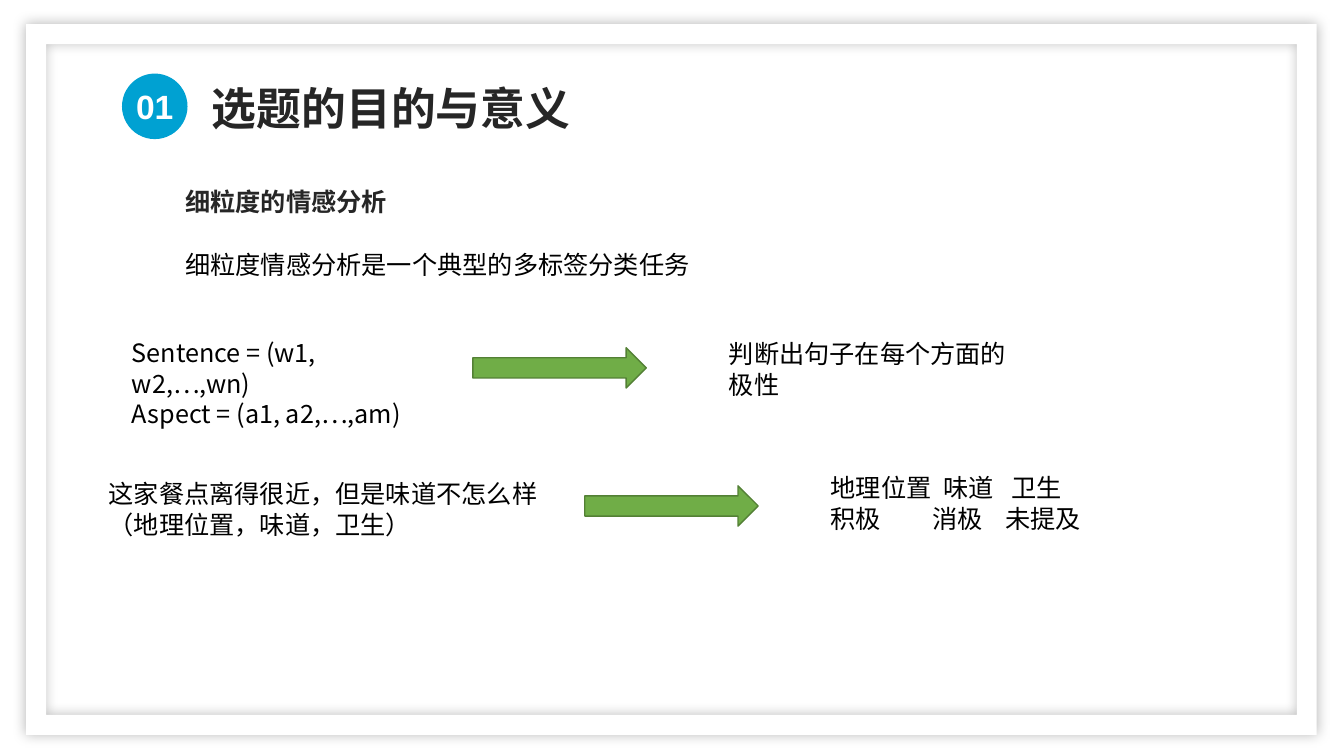
from lxml import etree
from pptx import Presentation
from pptx.dml.color import RGBColor
from pptx.enum import shapes, text
from pptx.oxml import ns
from pptx.util import Inches, Pt

CJK_FONT = "Noto Sans CJK SC"
BLACK, DARK, WHITE = "000000", "262626", "FFFFFF"
BLUE, GREEN, DARK_GREEN = "00A1D2", "70AD47", "538035"


def color(value):
    """Turn a hex string into a colour."""
    return RGBColor.from_string(value)


def add_child(parent, tag, **attributes):
    """Append a DrawingML element with the given attributes."""
    return etree.SubElement(parent, ns.qn(tag), {key: str(value) for key, value in attributes.items()})


def format_runs(paragraph, size, font_name, font_color, bold):
    """Format every run of a paragraph."""
    for run in paragraph.runs:
        run.font.size = Pt(size)
        run.font.name = font_name
        run.font.bold = bold
        run.font.color.rgb = color(font_color)
        add_child(run.font._element, "a:ea", typeface=CJK_FONT)


def fill_text(shape, lines, size=18, font_name=CJK_FONT, font_color=BLACK, bold=False,
              alignment=text.PP_ALIGN.LEFT):
    """Write formatted lines into a shape."""
    frame = shape.text_frame
    frame.text = "\n".join(lines)
    for paragraph in frame.paragraphs:
        paragraph.alignment = alignment
        format_runs(paragraph, size, font_name, font_color, bold)


def add_text(slide, left, top, width, height, lines, **style):
    """Add a wrapping text box that grows with its text."""
    box = slide.shapes.add_textbox(Inches(left), Inches(top), Inches(width), Inches(height))
    box.text_frame.word_wrap = True
    box.text_frame.auto_size = text.MSO_AUTO_SIZE.SHAPE_TO_FIT_TEXT
    fill_text(box, lines, **style)
    return box


def add_shape(slide, kind, left, top, width, height, fill, line=None):
    """Add a flat preset shape with an optional outline."""
    shape = slide.shapes.add_shape(kind, Inches(left), Inches(top), Inches(width), Inches(height))
    shape.shadow.inherit = False
    shape.fill.solid()
    shape.fill.fore_color.rgb = color(fill)
    if line:
        shape.line.color.rgb = color(line)
        shape.line.width = Pt(1)
    else:
        shape.line.fill.background()
    return shape


def add_border(slide):
    """Add the white frame with a soft shadow around the slide."""
    border = add_shape(slide, shapes.MSO_SHAPE.FRAME, 0.26, 0.24, 12.8, 7.05, WHITE)
    border.adjustments[0] = 0.028
    effects = border._element.spPr.find(ns.qn("a:effectLst"))
    shadow = add_child(effects, "a:outerShdw", blurRad=Pt(9), dist=0, dir=0, algn="ctr", rotWithShape=0)
    shadow_color = add_child(shadow, "a:srgbClr", val=BLACK)
    add_child(shadow_color, "a:alpha", val=27000)


def add_title(slide, wording):
    """Place the slide title in its placeholder."""
    title = slide.shapes.title
    title.left, title.top, title.width, title.height = map(Inches, (2, 0.64, 5.38, 0.71))
    fill_text(title, [wording], size=32, font_name="Arial", font_color=DARK, bold=True)
    title.text_frame.paragraphs[0].line_spacing = 1.2
    title.text_frame.vertical_anchor = text.MSO_ANCHOR.TOP
    title.text_frame.auto_size = text.MSO_AUTO_SIZE.SHAPE_TO_FIT_TEXT


def add_badge(slide, number):
    """Add the round section number."""
    badge = add_shape(slide, shapes.MSO_SHAPE.OVAL, 1.21, 0.73, 0.65, 0.65, BLUE)
    badge.text_frame.word_wrap = False
    badge.text_frame.vertical_anchor = text.MSO_ANCHOR.MIDDLE
    fill_text(badge, [number], size=24, font_name="Arial", font_color=WHITE, bold=True,
              alignment=text.PP_ALIGN.CENTER)


def add_arrow(slide, left, top):
    """Add a green arrow from input to result."""
    add_shape(slide, shapes.MSO_SHAPE.RIGHT_ARROW, left, top, 1.72, 0.4, GREEN, DARK_GREEN)


def add_aspect_results(slide):
    """Add the aspects above their polarities, set out with tab stops."""
    lines = ["地理位置\t味道\t卫生", "积极\t消极\t未提及"]
    tab_stops = [(1.12, 1.79), (1.01, 1.73)]
    box = add_text(slide, 8.14, 4.64, 3.11, 0.71, lines)
    for paragraph, stops in zip(box.text_frame.paragraphs, tab_stops):
        tab_list = add_child(paragraph._p.get_or_add_pPr(), "a:tabLst")
        for stop in stops:
            add_child(tab_list, "a:tab", pos=Inches(stop), algn="l")


def main():
    """Build and save the slide."""
    presentation = Presentation()
    presentation.slide_width, presentation.slide_height = Inches(13.33), Inches(7.5)
    slide = presentation.slides.add_slide(presentation.slide_layouts[5])
    add_border(slide)
    add_title(slide, "选题的目的与意义")
    add_badge(slide, "01")
    add_text(slide, 1.74, 1.8, 6.14, 0.4, ["细粒度的情感分析"],
             font_name="Arial", font_color=DARK, bold=True)
    add_text(slide, 1.74, 2.42, 8.63, 0.4, ["细粒度情感分析是一个典型的多标签分类任务"])
    add_text(slide, 1.21, 3.3, 3.11, 0.71, ["Sentence = (w1, w2,…,wn)", "Aspect = (a1, a2,…,am)"])
    add_arrow(slide, 4.69, 3.45)
    add_text(slide, 7.13, 3.31, 3.11, 0.71, ["判断出句子在每个方面的极性"])
    add_text(slide, 0.98, 4.7, 4.71, 0.71, ["这家餐点离得很近，但是味道不怎么样", "（地理位置，味道，卫生）"])
    add_arrow(slide, 5.8, 4.82)
    add_aspect_results(slide)
    presentation.save("out.pptx")


if __name__ == "__main__":
    main()
